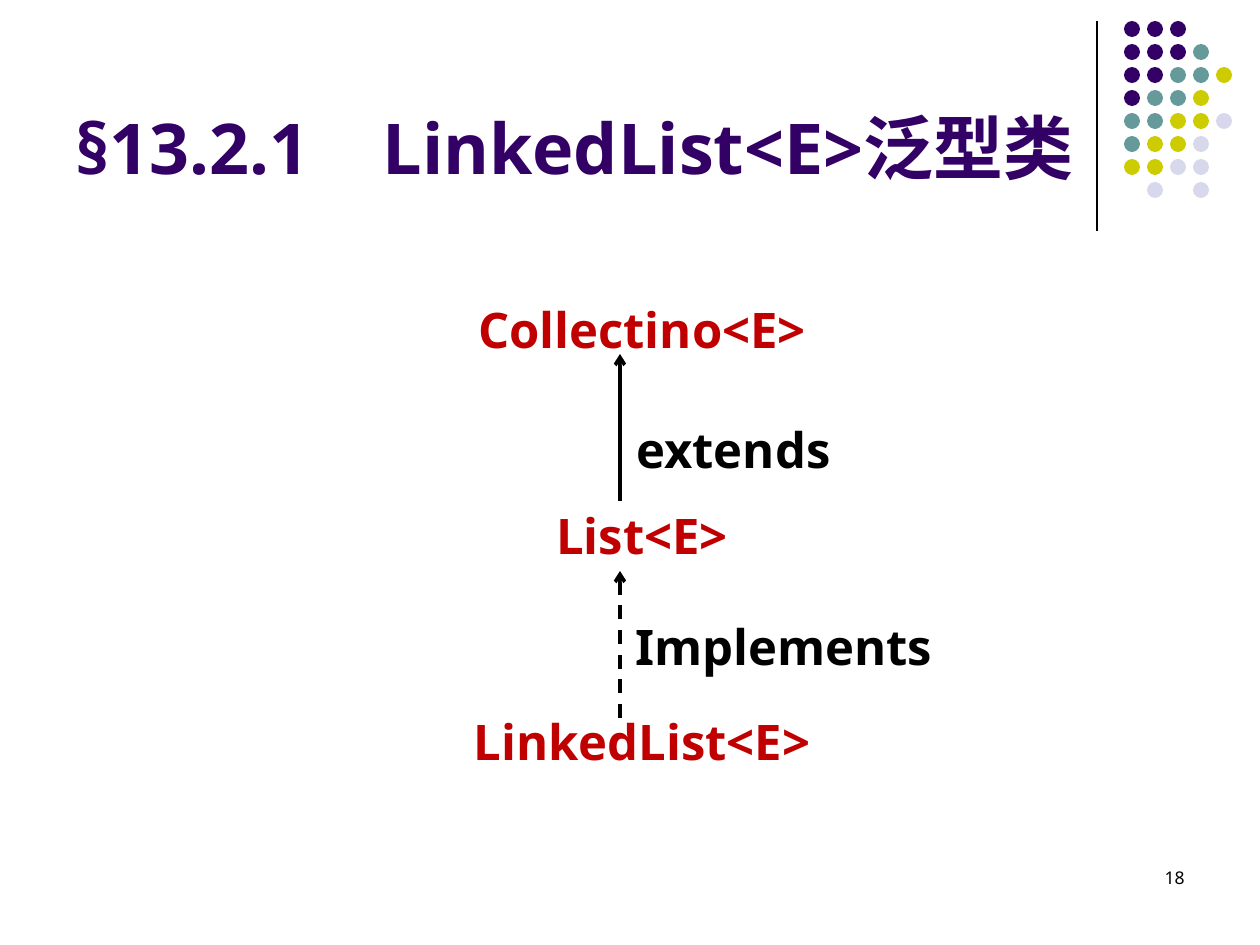
from dataclasses import dataclass

from lxml import etree
from pptx import Presentation, util as u
from pptx.dml.color import RGBColor
from pptx.enum import dml, shapes, text
from pptx.oxml import ns

PIXEL = 914400 / 126


@dataclass(frozen=True)
class Theme:
    """Colours, font and type sizes of the slide."""
    font: str = "Noto Sans"
    title: str = "330066"
    class_name: str = "C00000"
    ink: str = "000000"
    teal: str = "669999"
    olive: str = "CCCC00"
    lavender: str = "D8D8EC"
    title_size: int = 40
    body_size: int = 28
    number_size: int = 10


THEME = Theme()


def px(*lengths):
    """Turn pixel lengths into EMU."""
    return [u.Emu(round(length * PIXEL)) for length in lengths]


def add_node(parent, tag, **attributes):
    """Append one drawing element to an XML parent."""
    return etree.SubElement(parent, ns.qn(tag), **attributes)


def format_text(frame, size, color, align, bold=True):
    """Format every paragraph and run of a text frame."""
    for paragraph in frame.paragraphs:
        paragraph.alignment = align
        for run in paragraph.runs:
            run.font.name = THEME.font
            run.font.size = u.Pt(size)
            run.font.bold = bold
            run.font.color.rgb = RGBColor.from_string(color)


def add_text(slide, box, content, size, color, align, bold=True):
    """Add a wrapping text box and return its frame."""
    frame = slide.shapes.add_textbox(*px(*box)).text_frame
    frame.word_wrap = True
    frame.text = content
    format_text(frame, size, color, align, bold)
    return frame


def add_line(slide, start, end, width, dashed=False, arrow=False):
    """Add a straight line, optionally dashed or with an arrowhead."""
    line = slide.shapes.add_connector(shapes.MSO_CONNECTOR.STRAIGHT, *px(*start, *end))
    line.line.color.rgb = RGBColor.from_string(THEME.ink)
    line.line.width = u.Pt(width)
    if dashed:
        line.line.dash_style = dml.MSO_LINE.DASH
    if arrow:
        add_node(line.line._get_or_add_ln(), "a:tailEnd", type="arrow")
    add_node(line._element.spPr, "a:effectLst")


def add_ornament(slide, box):
    """Draw the divider and the dot grid inside the box."""
    left, top, height = box
    add_line(slide, (left, top), (left, top + height), 0.75)
    colors = {"P": THEME.title, "T": THEME.teal, "O": THEME.olive, "L": THEME.lavender}
    rows = ("PPP", "PPPT", "PPTTO", "PTTO", "TTOOL", "TOOL", "OOLL", ".L.L")
    pitch, diameter, inset = 23, 16, 27
    group = slide.shapes.add_group_shape()
    for row, pattern in enumerate(rows):
        for column, key in enumerate(pattern):
            if key in colors:
                dot = group.shapes.add_shape(
                    shapes.MSO_SHAPE.OVAL,
                    *px(left + inset + column * pitch, top + row * pitch, diameter, diameter))
                dot.shadow.inherit = False
                dot.fill.solid()
                dot.fill.fore_color.rgb = RGBColor.from_string(colors[key])
                dot.line.fill.background()


def set_title(slide, box, content, tab):
    """Place the title and align its second part to a tab stop."""
    title = slide.shapes.title
    title.left, title.top, title.width, title.height = px(*box)
    frame = title.text_frame
    frame.text = content
    frame.word_wrap = True
    frame.vertical_anchor = text.MSO_ANCHOR.BOTTOM
    frame.margin_right = 0
    format_text(frame, THEME.title_size, THEME.title, text.PP_ALIGN.LEFT)
    stops = add_node(frame.paragraphs[0]._p.get_or_add_pPr(), "a:tabLst")
    add_node(stops, "a:tab", pos=str(px(tab)[0]), algn="l")


def add_hierarchy(slide, box):
    """Draw the class names and the labelled arrows between them."""
    left, top, width, height = box
    names = add_text(slide, box, "Collectino<E>\nList<E>\nLinkedList<E>",
                     THEME.body_size, THEME.class_name, text.PP_ALIGN.CENTER)
    names.margin_top = px(76)[0]
    for paragraph in names.paragraphs[1:]:
        paragraph.space_before = u.Pt(84)
    axis, arrow_height, label_height = left + 557, 147, 72
    relations = (("extends", 130, 189, 227, False), ("Implements", 347, 386, 328, True))
    for label, tip, label_top, label_width, dashed in relations:
        add_line(slide, (axis, top + tip + arrow_height), (axis, top + tip), 2, dashed, True)
        frame = add_text(slide, (axis, top + label_top, label_width, label_height), label,
                         THEME.body_size, THEME.ink, text.PP_ALIGN.CENTER)
        frame.vertical_anchor = text.MSO_ANCHOR.MIDDLE


def build():
    """Build and save the presentation."""
    presentation = Presentation()
    presentation.slide_width, presentation.slide_height = px(1260, 945)
    slide = presentation.slides.add_slide(presentation.slide_layouts[5])
    add_ornament(slide, (1097, 21, 210))
    set_title(slide, (63, 16, 1040, 179), "§13.2.1\tLinkedList<E>泛型类", 307)
    add_hierarchy(slide, (63, 224, 1158, 620))
    add_text(slide, (903, 861, 294, 63), "18", THEME.number_size, THEME.ink,
             text.PP_ALIGN.RIGHT, bold=False)
    presentation.save("out.pptx")


build()
